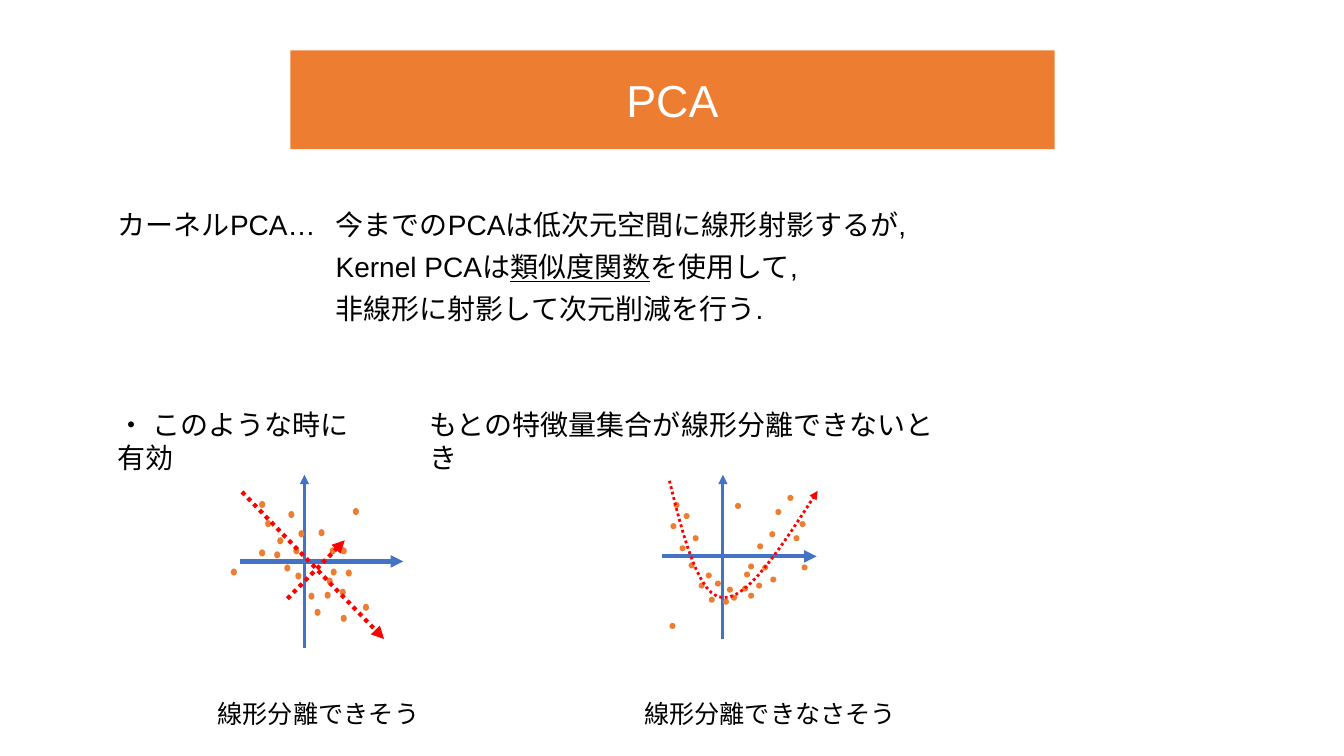
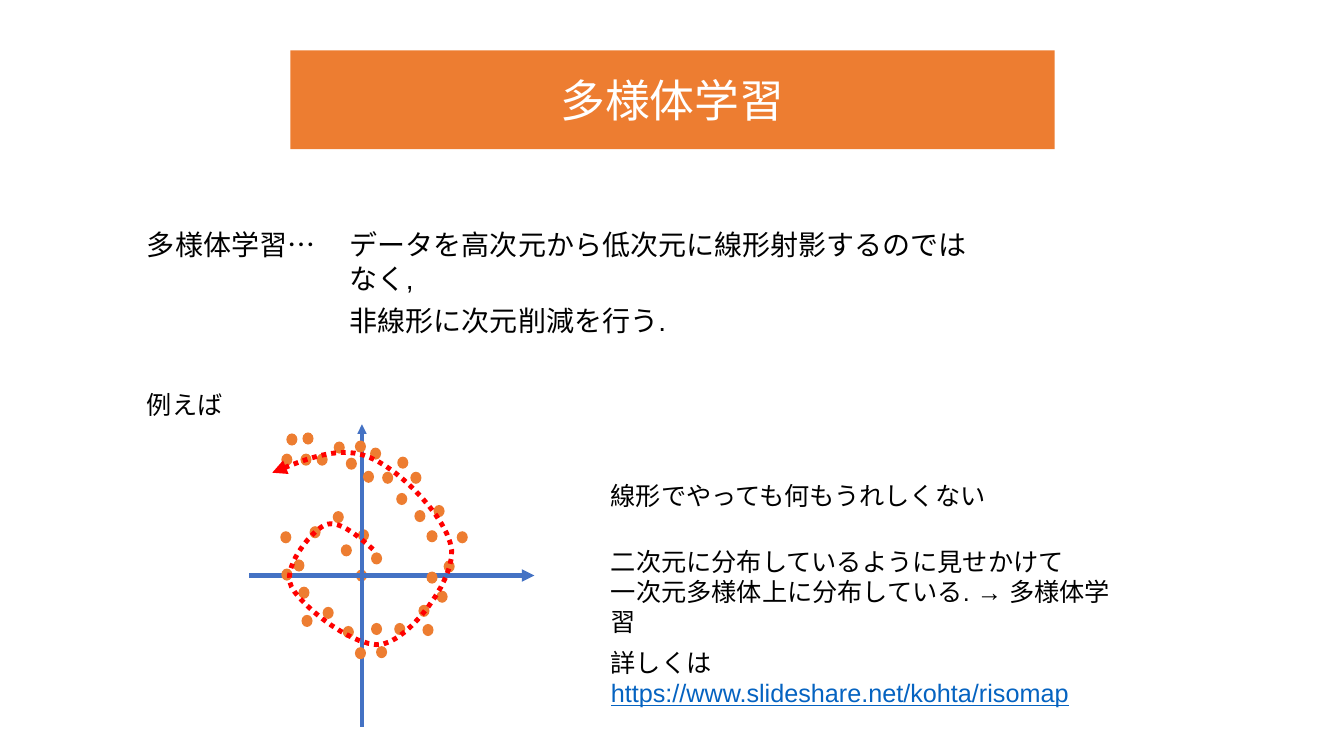
from dataclasses import dataclass

import pptx
import pptx.dml.color
import pptx.enum.dml
import pptx.enum.shapes
import pptx.enum.text
import pptx.oxml
import pptx.oxml.ns
import pptx.util

Inches = pptx.util.Inches
SHAPE = pptx.enum.shapes.MSO_SHAPE


@dataclass(frozen=True)
class Theme:
    font: str = "Arial"
    accent: str = "ED7D31"
    axis: str = "4472C4"
    trend: str = "FF0000"
    ink: str = "000000"
    paper: str = "FFFFFF"
    link: str = "0563C1"
    title: int = 32
    body: int = 20
    note: int = 18
    gap: int = 6


THEME = Theme()
BAND = (2.88, 0.5, 7.58, 0.98)
UNDERLINED = {"underline": True}
LINK = {"underline": True, "color": THEME.link}
BODY = {"size": THEME.body}
SPACED = {"size": THEME.body, "after": THEME.gap}
NOTE = {"size": THEME.note}

LINEAR_PLOT = {
    "dot": (0.06, 0.07),
    "x_axis": ((2.38, 5.57), (4, 5.57)),
    "y_axis": ((3.02, 6.43), (3.02, 4.71)),
    "behind": [(2.63, 5.16), (3.12, 6.04), (3.06, 5.88), (3.28, 5.64), (3.38, 5.43),
               (2.72, 5.47)],
    "front": [(3.27, 5.43), (3.16, 5.25), (2.91, 5.43), (3.24, 5.73), (2.96, 5.26),
              (2.93, 5.68), (2.82, 5.6), (2.75, 5.33), (2.57, 4.97), (3.37, 5.84),
              (3.22, 5.87), (3.43, 5.65), (3.38, 6.1), (2.57, 5.45), (3.6, 5.99),
              (2.86, 5.07), (2.29, 5.64), (3.5, 5.04)],
    "arrows": [((2.4, 4.88), (3.81, 6.34)), ((2.85, 5.94), (3.42, 5.36))],
    "trend_width": 3,
}
PARABOLA_PLOT = {
    "dot": (0.06, 0.06),
    "x_axis": ((6.57, 5.52), (8.1, 5.52)),
    "y_axis": ((7.17, 6.34), (7.17, 4.71)),
    "behind": [(7.69, 5.05), (7.87, 5.31), (7.29, 4.99), (6.64, 6.18), (7.81, 4.91),
               (6.78, 5.09), (7.25, 5.9), (7.21, 5.82), (7.42, 5.59), (7.51, 5.39),
               (6.87, 5.31)],
    "front": [(7.95, 5.6), (7.63, 5.27), (7.09, 5.76), (7.38, 5.67), (7.17, 5.94),
              (7.03, 5.92), (7, 5.68), (6.83, 5.58), (6.65, 5.19), (7.5, 5.78),
              (7.36, 5.81), (7.56, 5.6), (7.42, 5.88), (6.74, 5.41), (7.64, 5.72),
              (6.93, 5.78), (6.68, 4.98), (7.93, 5.17)],
    "curve": [(6.64, 4.77), (6.78, 5.34), (6.93, 5.92), (7.17, 5.93),
              (7.42, 5.95), (7.76, 5.41), (8.11, 4.87)],
    "trend_width": 2,
}
SPIRAL_PLOT = {
    "dot": (0.11, 0.12),
    "x_axis": ((2.47, 5.71), (5.3, 5.71)),
    "y_axis": ((3.59, 7.21), (3.59, 4.21)),
    "behind": [(4.07, 4.68), (4.11, 5.06), (3.68, 5.48), (3.53, 5.65), (3.94, 4.53),
               (3.3, 5.07), (3.73, 6.41), (3.68, 6.18), (4.15, 6), (4.4, 5.56),
               (3.55, 5.25)],
    "front": [(3.93, 4.89), (4.3, 5.01), (3.4, 6.21), (3.6, 4.67), (3.52, 6.42),
              (3.79, 4.68), (3.2, 6.02), (2.96, 5.82), (2.78, 5.27), (4.19, 6.19),
              (3.91, 6.18), (4.33, 5.86), (4.23, 5.26), (2.91, 5.55), (4.23, 5.67),
              (2.99, 6.1), (3.07, 5.22), (4.53, 5.27), (3.67, 4.44), (3.52, 4.37),
              (3.43, 4.54), (2.79, 5.64), (3.38, 5.4), (3.31, 4.38), (3.14, 4.5),
              (2.98, 4.5), (3, 4.29), (2.84, 4.3), (2.79, 4.5)],
    "curve": [(3.7, 5.45), (3.53, 5.3), (3.35, 5.15), (3.22, 5.21),
              (3.09, 5.27), (2.79, 5.63), (2.89, 5.82),
              (2.99, 6.02), (3.54, 6.45), (3.8, 6.39),
              (4.07, 6.33), (4.5, 5.77), (4.48, 5.46),
              (4.45, 5.15), (3.97, 4.66), (3.67, 4.54),
              (3.38, 4.41), (3.04, 4.55), (2.7, 4.69)],
    "trend_width": 3.5,
}

SLIDES = [
    {
        "title": "PCA",
        "texts": [
            ((1.07, 2.01, 2.17, 0.44), ["カーネルPCA…"], BODY),
            ((1.07, 3.99, 2.72, 0.44), ["・ このような時に有効"], BODY),
            ((4.16, 3.99, 5.39, 0.44), ["もとの特徴量集合が線形分離できないとき"], SPACED),
            ((3.23, 2.01, 5.78, 1.28), [
                "今までのPCAは低次元空間に線形射影するが,",
                [("Kernel PCAは", {}), ("類似度関数", UNDERLINED), ("を使用して,", {})],
                "非線形に射影して次元削減を行う.",
            ], SPACED),
            ((6.29, 6.88, 2.8, 0.4), ["線形分離できなさそう"], NOTE),
            ((2.06, 6.88, 2.26, 0.4), ["線形分離できそう"], NOTE),
        ],
        "plots": [LINEAR_PLOT, PARABOLA_PLOT],
    },
    {
        "title": "多様体学習",
        "texts": [
            ((1.36, 2.21, 2.17, 0.44), ["多様体学習…"], BODY),
            ((3.37, 2.21, 6.59, 0.86), [
                "データを高次元から低次元に線形射影するのではなく,",
                "非線形に次元削減を行う.",
            ], SPACED),
            ((1.36, 3.81, 2.53, 0.4), ["例えば"], NOTE),
            ((5.96, 4.72, 4.07, 0.4), ["線形でやっても何もうれしくない"], NOTE),
            ((5.96, 5.37, 5.31, 0.71), [
                "二次元に分布しているように見せかけて",
                "一次元多様体上に分布している. → 多様体学習",
            ], NOTE),
            ((5.96, 6.37, 5.7, 0.4), [
                [("詳しくは ", {}), ("https://www.slideshare.net/kohta/risomap", LINK)],
            ], NOTE),
        ],
        "plots": [SPIRAL_PLOT],
    },
]


def rgb(color):
    return pptx.dml.color.RGBColor.from_string(color)


def write_text(tf, paragraphs, size, color=THEME.ink, align="LEFT", anchor="TOP", after=0):
    tf.word_wrap = True
    tf.vertical_anchor = pptx.enum.text.MSO_ANCHOR[anchor]
    for i, runs in enumerate(paragraphs):
        p = tf.add_paragraph() if i else tf.paragraphs[0]
        p.alignment = pptx.enum.text.PP_ALIGN[align]
        p.space_after = pptx.util.Pt(after)
        for text, style in [(runs, {})] if isinstance(runs, str) else runs:
            r = p.add_run()
            r.text = text
            r.font.name = THEME.font
            r.font.size = pptx.util.Pt(size)
            r.font.color.rgb = rgb(style.get("color", color))
            if style.get("underline"):
                r.font.underline = True


def add_solid(shapes, kind, box):
    sp = shapes.add_shape(kind, *map(Inches, box))
    sp.shadow.inherit = False
    sp.fill.solid()
    sp.fill.fore_color.rgb = rgb(THEME.accent)
    sp.line.fill.background()
    return sp


def style_arrow(sp, color, width, dotted):
    sp.line.color.rgb = rgb(color)
    sp.line.width = pptx.util.Pt(width)
    if dotted:
        sp.line.dash_style = pptx.enum.dml.MSO_LINE.ROUND_DOT
    spPr = sp.element.spPr
    ln = spPr.find(pptx.oxml.ns.qn("a:ln"))
    ns = pptx.oxml.ns.nsdecls("a")
    ln.append(pptx.oxml.parse_xml(f'<a:tailEnd {ns} type="triangle"/>'))
    spPr.append(pptx.oxml.parse_xml(f"<a:effectLst {ns}/>"))


def add_arrow(shapes, start, end, color, width, dotted=False):
    straight = pptx.enum.shapes.MSO_CONNECTOR.STRAIGHT
    style_arrow(shapes.add_connector(straight, *map(Inches, start + end)), color, width, dotted)


def bezier_points(nodes, steps=12):
    points = [nodes[0]]
    for i in range(0, len(nodes) - 1, 3):
        for step in range(1, steps + 1):
            t = step / steps
            weights = ((1 - t) ** 3, 3 * t * (1 - t) ** 2, 3 * t ** 2 * (1 - t), t ** 3)
            points.append(tuple(sum(w * node[axis] for w, node in zip(weights, nodes[i:i + 4]))
                                for axis in (0, 1)))
    return points


def add_curve(shapes, nodes, width):
    start, *rest = [(Inches(x), Inches(y)) for x, y in bezier_points(nodes)]
    builder = shapes.build_freeform(*start)
    builder.add_line_segments(rest, close=False)
    sp = builder.convert_to_shape()
    sp.fill.background()
    style_arrow(sp, THEME.trend, width, True)


def add_plot(slide, plot):
    shapes = slide.shapes.add_group_shape().shapes
    for point in plot["behind"]:
        add_solid(shapes, SHAPE.OVAL, point + plot["dot"])
    add_arrow(shapes, *plot["x_axis"], THEME.axis, 3)
    add_arrow(shapes, *plot["y_axis"], THEME.axis, 2.25)
    for point in plot["front"]:
        add_solid(shapes, SHAPE.OVAL, point + plot["dot"])
    for start, end in plot.get("arrows", []):
        add_arrow(shapes, start, end, THEME.trend, plot["trend_width"], dotted=True)
    if "curve" in plot:
        add_curve(shapes, plot["curve"], plot["trend_width"])


def add_slide(prs, content):
    slide = prs.slides.add_slide(prs.slide_layouts[6])
    band = add_solid(slide.shapes, SHAPE.RECTANGLE, BAND)
    write_text(band.text_frame, [content["title"]], size=THEME.title, color=THEME.paper,
               align="CENTER", anchor="MIDDLE")
    for box, paragraphs, style in content["texts"]:
        write_text(slide.shapes.add_textbox(*map(Inches, box)).text_frame, paragraphs, **style)
    for plot in content["plots"]:
        add_plot(slide, plot)


def main():
    prs = pptx.Presentation()
    prs.slide_width, prs.slide_height = Inches(13.33), Inches(7.5)
    for content in SLIDES:
        add_slide(prs, content)
    prs.save("out.pptx")


if __name__ == "__main__":
    main()
